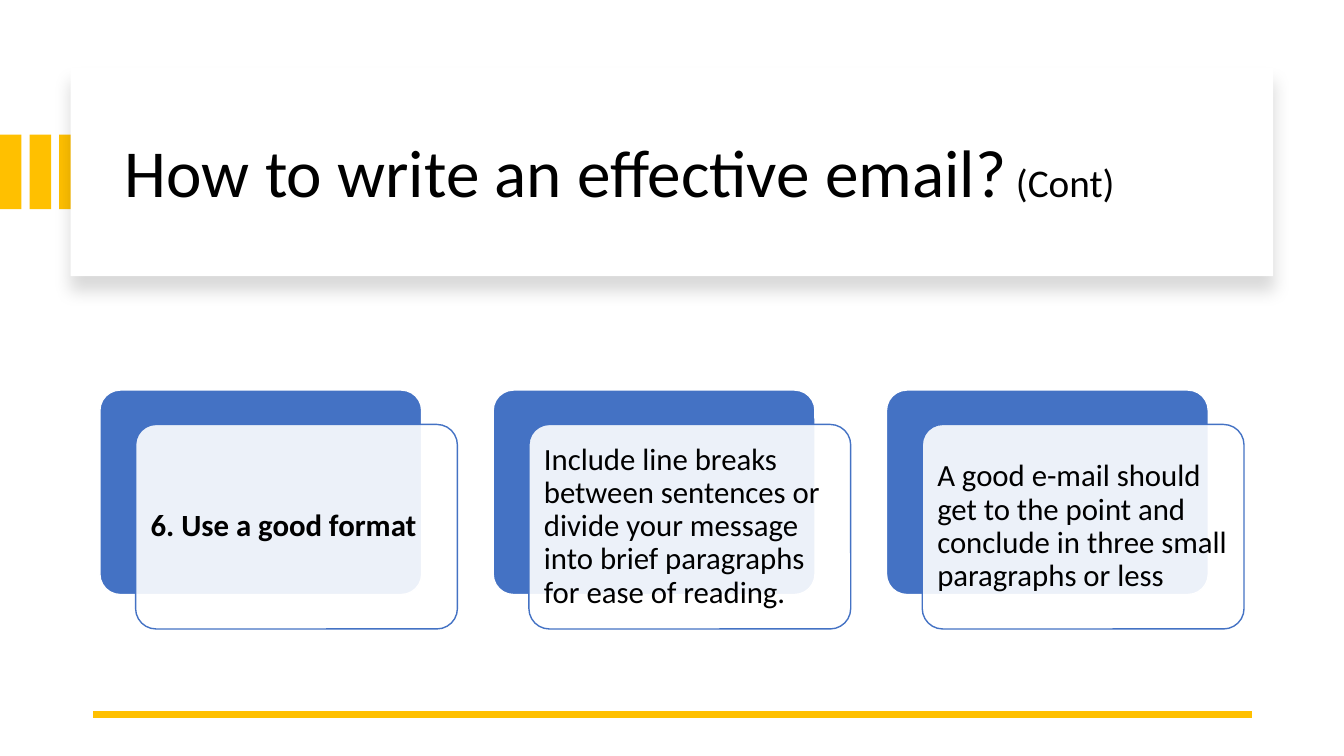
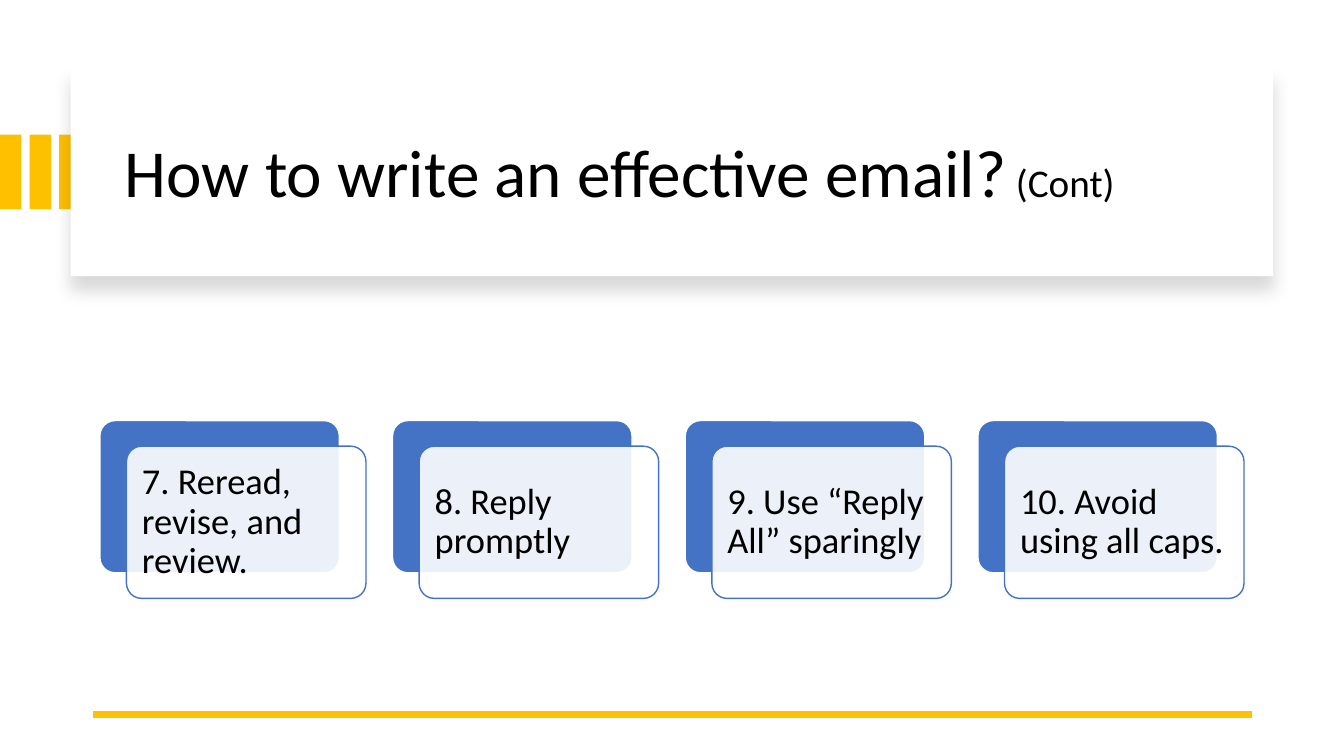
from lxml.etree import SubElement
from pptx import Presentation
from pptx.dml.color import RGBColor
from pptx.enum.shapes import MSO_CONNECTOR, MSO_SHAPE
from pptx.enum.text import MSO_ANCHOR, PP_ALIGN
from pptx.oxml.ns import qn
from pptx.util import Inches, Pt

GOLD = RGBColor(0xFF, 0xC0, 0x00)
BLUE = RGBColor(0x44, 0x72, 0xC4)
WHITE = RGBColor(0xFF, 0xFF, 0xFF)
BLACK = RGBColor(0x00, 0x00, 0x00)

FRAME = {"word_wrap": True, "vertical_anchor": MSO_ANCHOR.MIDDLE}
PARA = {"alignment": PP_ALIGN.LEFT, "line_spacing": 0.9}
FONT = {"name": "Calibri", "bold": False}
SIDES = ("margin_left", "margin_top", "margin_right", "margin_bottom")

DECK = [
    (22, 0.09, [
        ("6. Use a good format", True),
        ("Include line breaks between sentences or divide your message "
         "into brief paragraphs for ease of reading.", False),
        ("A good e-mail should get to the point and conclude in three "
         "small paragraphs or less", False),
    ]),
    (26, 0.11, [
        ("7. Reread, revise, and review.", False),
        ("8. Reply promptly", False),
        ("9. Use “Reply All” sparingly", False),
        ("10. Avoid using all caps.", False),
    ]),
]


def put(item, form):
    for name, value in form.items():
        setattr(item, name, value)


class Deck:
    """Draw styled slides on a grid of 100 columns by 100 rows."""

    def __init__(self):
        self.prs = Presentation()
        put(self.prs, {"slide_width": Inches(13.33), "slide_height": Inches(7.5)})
        self.page = None

    def grid(self, *cells):
        size = (self.prs.slide_width, self.prs.slide_height)
        return [round(cell * size[i % 2] / 100) for i, cell in enumerate(cells)]

    def start(self):
        self.page = self.prs.slides.add_slide(self.prs.slide_layouts[6])
        for i in range(3):
            self.box(2.2 * i, 17.8, 1.6, 9.87, GOLD)
        self.shade(self.box(5.25, 8.93, 89.47, 27.6, WHITE))
        self.title()
        self.rule()

    def box(self, x, y, w, h, fill, line=None, kind=MSO_SHAPE.RECTANGLE):
        shape = self.page.shapes.add_shape(kind, *self.grid(x, y, w, h))
        shape.shadow.inherit = False
        shape.fill.solid()
        shape.fill.fore_color.rgb = fill
        if line is None:
            shape.line.fill.background()
        else:
            shape.line.color.rgb = line
            shape.line.width = Pt(1)
        if kind == MSO_SHAPE.ROUNDED_RECTANGLE:
            shape.adjustments[0] = 0.1
        return shape

    def shade(self, shape):
        effect = shape._element.spPr.find(qn("a:effectLst"))
        outer = SubElement(effect, qn("a:outerShdw"), blurRad=str(Pt(11)),
                           dist=str(Pt(10)), dir="5400000", algn="t", rotWithShape="0")
        color = SubElement(outer, qn("a:srgbClr"), val=str(BLACK))
        SubElement(color, qn("a:alpha"), val="15000")

    def text(self, shape, runs):
        frame = shape.text_frame
        put(frame, FRAME)
        para = frame.paragraphs[0]
        put(para, PARA)
        for words, form in runs:
            run = para.add_run()
            run.text = words
            put(run.font, {**FONT, **form})
            run.font.color.rgb = BLACK

    def title(self):
        label = self.page.shapes.add_textbox(*self.grid(8.55, 11.87, 83.48, 22.67))
        self.text(label, [("How to write an effective email?", {"size": Pt(48)}),
                          (" (Cont)", {"size": Pt(28)})])

    def rule(self):
        line = self.page.shapes.add_connector(
            MSO_CONNECTOR.STRAIGHT, *self.grid(93.15, 94.53, 6.9, 94.53))
        line.line.color.rgb = GOLD
        line.line.width = Pt(4.5)
        SubElement(line._element.spPr, qn("a:effectLst"))

    def cards(self, size, inset, items):
        wide = 85.13 * 9 / (11 * len(items) - 1)
        high, drop = 1.13 * wide, 0.19 * wide
        top = 67.4 - (high + drop) / 2
        for i, (words, bold) in enumerate(items):
            left = 7.43 + i * wide * 11 / 9
            kind = MSO_SHAPE.ROUNDED_RECTANGLE
            self.box(left, top, wide, high, BLUE, WHITE, kind)
            front = self.box(left + wide / 9, top + drop, wide, high, WHITE, BLUE, kind)
            tint = front._element.spPr.find(qn("a:solidFill"))[0]
            SubElement(tint, qn("a:alpha"), val="90000")
            put(front.text_frame, dict.fromkeys(SIDES, Inches(inset)))
            self.text(front, [(words, {"size": Pt(size), "bold": bold})])


def main():
    deck = Deck()
    for size, inset, items in DECK:
        deck.start()
        deck.cards(size, inset, items)
    deck.prs.save("out.pptx")


if __name__ == "__main__":
    main()
